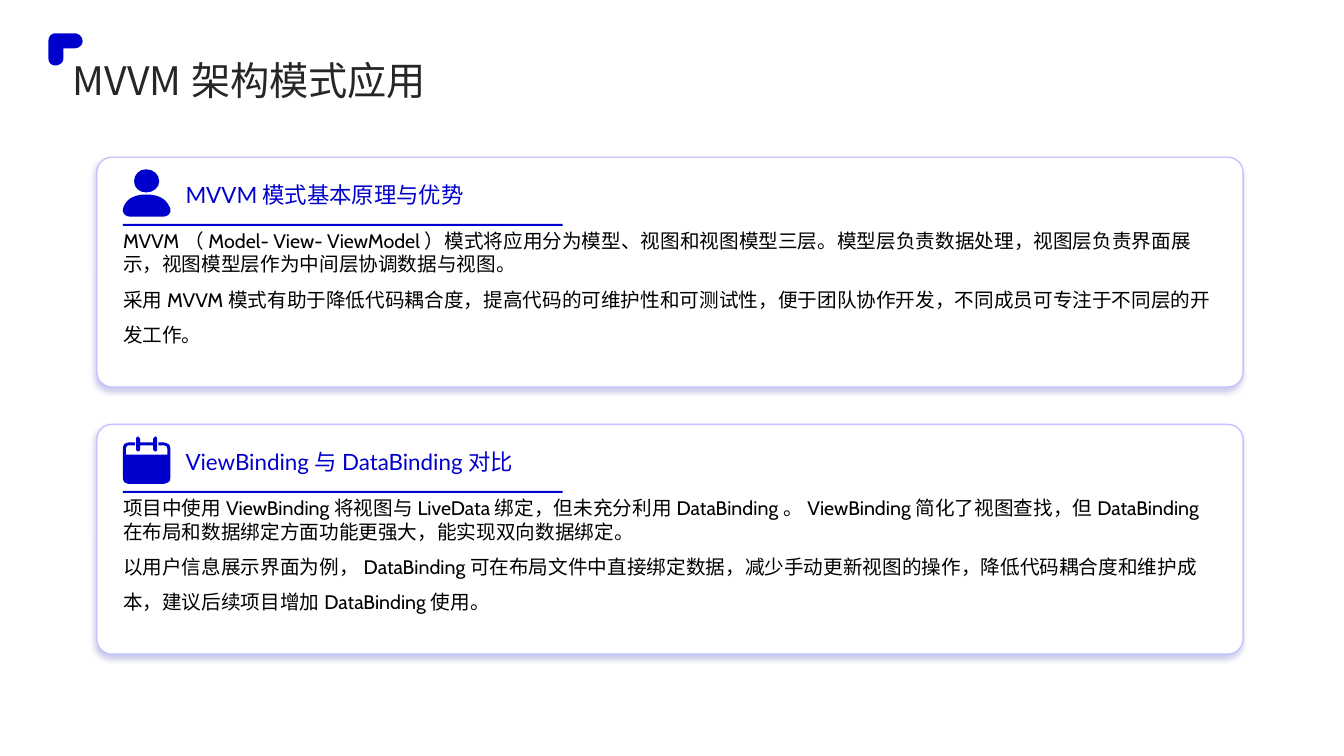
from dataclasses import dataclass

from lxml.etree import SubElement
from pptx import Presentation
from pptx.dml.color import RGBColor as RGB
from pptx.enum.shapes import MSO_SHAPE as SHAPE
from pptx.enum.text import MSO_ANCHOR as ANCHOR
from pptx.oxml.ns import qn
from pptx.util import Inches, Pt


@dataclass(frozen=True)
class Theme:
    accent: RGB = RGB(0x00, 0x00, 0xCC)
    card_fill: RGB = RGB(0xFF, 0xFF, 0xFF)
    card_border: RGB = RGB(0xC2, 0xC2, 0xFF)
    shadow: str = "000099"
    title_color: RGB = RGB(0x26, 0x26, 0x26)
    body_color: RGB = RGB(0x00, 0x00, 0x00)
    title_size: int = 28
    heading_size: int = 16
    body_size: int = 14
    chinese_font: str = "Noto Sans CJK SC"
    heading_font: str = "Lato"
    body_font: str = "Cabin"


# Outlines: each contour lists corner points (x, y) and curves (two handles, end)
CORNER_MARK = [[
    (0.34, 0.08), (0.34, 0.12, 0.3, 0.15, 0.26, 0.15), (0.15, 0.15), (0.15, 0.25),
    (0.15, 0.29, 0.11, 0.32, 0.07, 0.32), (0.03, 0.32, 0, 0.29, 0, 0.25), (0, 0.08),
    (0, 0.03, 0.03, 0, 0.07, 0), (0.26, 0), (0.3, 0, 0.34, 0.03, 0.34, 0.08),
]]
PERSON = [
    [(0.23, 0.25), (0.39, 0.25, 0.44, 0.32, 0.47, 0.39), (0.48, 0.43, 0.45, 0.47, 0.4, 0.47),
     (0.07, 0.47), (0.02, 0.47, -0.01, 0.43, 0, 0.39), (0.02, 0.32, 0.08, 0.25, 0.23, 0.25)],
    [(0.23, 0), (0.3, 0, 0.36, 0.05, 0.36, 0.12), (0.36, 0.18, 0.3, 0.23, 0.23, 0.23),
     (0.16, 0.23, 0.11, 0.18, 0.11, 0.12), (0.11, 0.05, 0.16, 0, 0.23, 0)],
]


def calendar_ring(x):
    return [(x, 0), (x + 0.01, 0, x + 0.02, 0.01, x + 0.02, 0.02), (x + 0.02, 0.13),
            (x + 0.02, 0.14, x + 0.01, 0.15, x, 0.15),
            (x - 0.01, 0.15, x - 0.02, 0.14, x - 0.02, 0.13), (x - 0.02, 0.02),
            (x - 0.02, 0.01, x - 0.01, 0, x, 0)]


CALENDAR = [
    [(0.17, 0.06), (0.3, 0.06), (0.3, 0.09), (0.17, 0.09)],
    [(0.05, 0.06), (0.12, 0.06), (0.12, 0.09), (0.05, 0.09),
     (0.04, 0.09, 0.03, 0.1, 0.03, 0.12), (0.03, 0.18), (0.44, 0.18), (0.44, 0.12),
     (0.44, 0.1, 0.43, 0.09, 0.41, 0.09), (0.35, 0.09), (0.35, 0.06), (0.41, 0.06),
     (0.44, 0.06, 0.47, 0.08, 0.47, 0.12), (0.47, 0.41),
     (0.47, 0.45, 0.44, 0.47, 0.41, 0.47), (0.05, 0.47),
     (0.02, 0.47, 0, 0.45, 0, 0.41), (0, 0.12), (0, 0.08, 0.02, 0.06, 0.05, 0.06)],
    calendar_ring(0.32),
    calendar_ring(0.15),
]


class SlideBuilder:
    def __init__(self, slide, theme):
        self.slide = slide
        self.theme = theme

    def paint(self, shape, color):
        shape.shadow.inherit = False
        shape.fill.solid()
        shape.fill.fore_color.rgb = color
        shape.line.fill.background()

    def text(self, box, lines, size, font, color, anchor=ANCHOR.TOP):
        """Add a text box; lines holds (words, line spacing) for each paragraph."""
        frame = self.slide.shapes.add_textbox(*map(Inches, box)).text_frame
        frame_format = {"word_wrap": True, "vertical_anchor": anchor, "margin_left": 0,
                        "margin_right": 0, "margin_top": 0, "margin_bottom": 0}
        for name, value in frame_format.items():
            setattr(frame, name, value)
        for index, (words, spacing) in enumerate(lines):
            paragraph = frame.add_paragraph() if index else frame.paragraphs[0]
            paragraph.line_spacing = spacing
            paragraph._p.get_or_add_pPr().set("hangingPunct", "0")
            run = paragraph.add_run()
            run.text = words
            for name, value in {"size": Pt(size), "name": font}.items():
                setattr(run.font, name, value)
            run.font.color.rgb = color
            SubElement(run.font._element, qn("a:ea"), typeface=self.theme.chinese_font)

    def outline(self, left, top, contours):
        builder = None
        for contour in contours:
            ends = [(Inches(left + x), Inches(top + y))
                    for x, y in (segment[-2:] for segment in contour)]
            if builder is None:
                builder = self.slide.shapes.build_freeform(*ends[0])
            else:
                builder.move_to(*ends[0])
            builder.add_line_segments(ends[1:], close=True)
        shape = builder.convert_to_shape()
        self.paint(shape, self.theme.accent)
        # Bend the segments that have handles
        segments = [segment for contour in contours for segment in contour[1:]]
        for line, segment in zip(list(shape._element.iter(qn("a:lnTo"))), segments):
            if len(segment) == 2:
                continue
            line.tag = qn("a:cubicBezTo")
            for position in (2, 0):
                handle = line.makeelement(qn("a:pt"), {
                    "x": str(Inches(left + segment[position]) - shape.left),
                    "y": str(Inches(top + segment[position + 1]) - shape.top)})
                line.insert(0, handle)

    def panel(self, box):
        shape = self.slide.shapes.add_shape(SHAPE.ROUNDED_RECTANGLE, *map(Inches, box))
        shape.adjustments[0] = 0.066
        self.paint(shape, self.theme.card_fill)
        shape.line.color.rgb = self.theme.card_border
        shape.line.width = Pt(0.95)
        # Soft shadow toward the lower left
        effects = shape._element.spPr.find(qn("a:effectLst"))
        shadow = SubElement(effects, qn("a:outerShdw"), blurRad=str(Pt(4)), dist=str(Pt(3)),
                            dir=str(135 * 60000), algn="tr", rotWithShape="0")
        tint = SubElement(shadow, qn("a:srgbClr"), val=self.theme.shadow)
        SubElement(tint, qn("a:alpha"), val="20000")

    def rule(self, box):
        shape = self.slide.shapes.add_shape(SHAPE.RECTANGLE, *map(Inches, box))
        self.paint(shape, self.theme.accent)

    def card(self, top, icon, heading, summary, detail):
        theme = self.theme
        self.panel((0.96, top, 11.37, 2.28))
        self.text((1.22, top + 0.71, 10.85, 1.54), [(summary, 1.0), (detail, 1.5)],
                  theme.body_size, theme.body_font, theme.body_color)
        self.text((1.84, top + 0.24, 10.22, 0.3), [(heading, 1.0)], theme.heading_size,
                  theme.heading_font, theme.accent)
        self.rule((1.22, top + 0.66, 4.36, 0.02))
        self.outline(1.22, top + 0.12, icon)


CARDS = [
    (PERSON, "MVVM模式基本原理与优势",
     "MVVM（Model- View- ViewModel）模式将应用分为模型、视图和视图模型三层。"
     "模型层负责数据处理，视图层负责界面展示，视图模型层作为中间层协调数据与视图。",
     "采用MVVM模式有助于降低代码耦合度，提高代码的可维护性和可测试性，"
     "便于团队协作开发，不同成员可专注于不同层的开发工作。"),
    (CALENDAR, "ViewBinding与DataBinding对比",
     "项目中使用ViewBinding将视图与LiveData绑定，但未充分利用DataBinding。"
     "ViewBinding简化了视图查找，但DataBinding在布局和数据绑定方面功能更强大，能实现双向数据绑定。",
     "以用户信息展示界面为例，DataBinding可在布局文件中直接绑定数据，减少手动更新视图的操作，"
     "降低代码耦合度和维护成本，建议后续项目增加DataBinding使用。"),
]


def main():
    presentation = Presentation()
    presentation.slide_width = Inches(13.33)
    presentation.slide_height = Inches(7.5)
    slide = presentation.slides.add_slide(presentation.slide_layouts[6])
    theme = Theme()
    builder = SlideBuilder(slide, theme)

    # Title with its corner mark
    builder.text((0.72, 0.51, 11.67, 0.51), [("MVVM架构模式应用", 1.1)], theme.title_size,
                 theme.chinese_font, theme.title_color, anchor=ANCHOR.MIDDLE)
    builder.outline(0.48, 0.33, CORNER_MARK)

    # Two stacked cards
    for index, content in enumerate(CARDS):
        builder.card(1.56 + 2.65 * index, *content)

    presentation.save("out.pptx")


if __name__ == "__main__":
    main()
